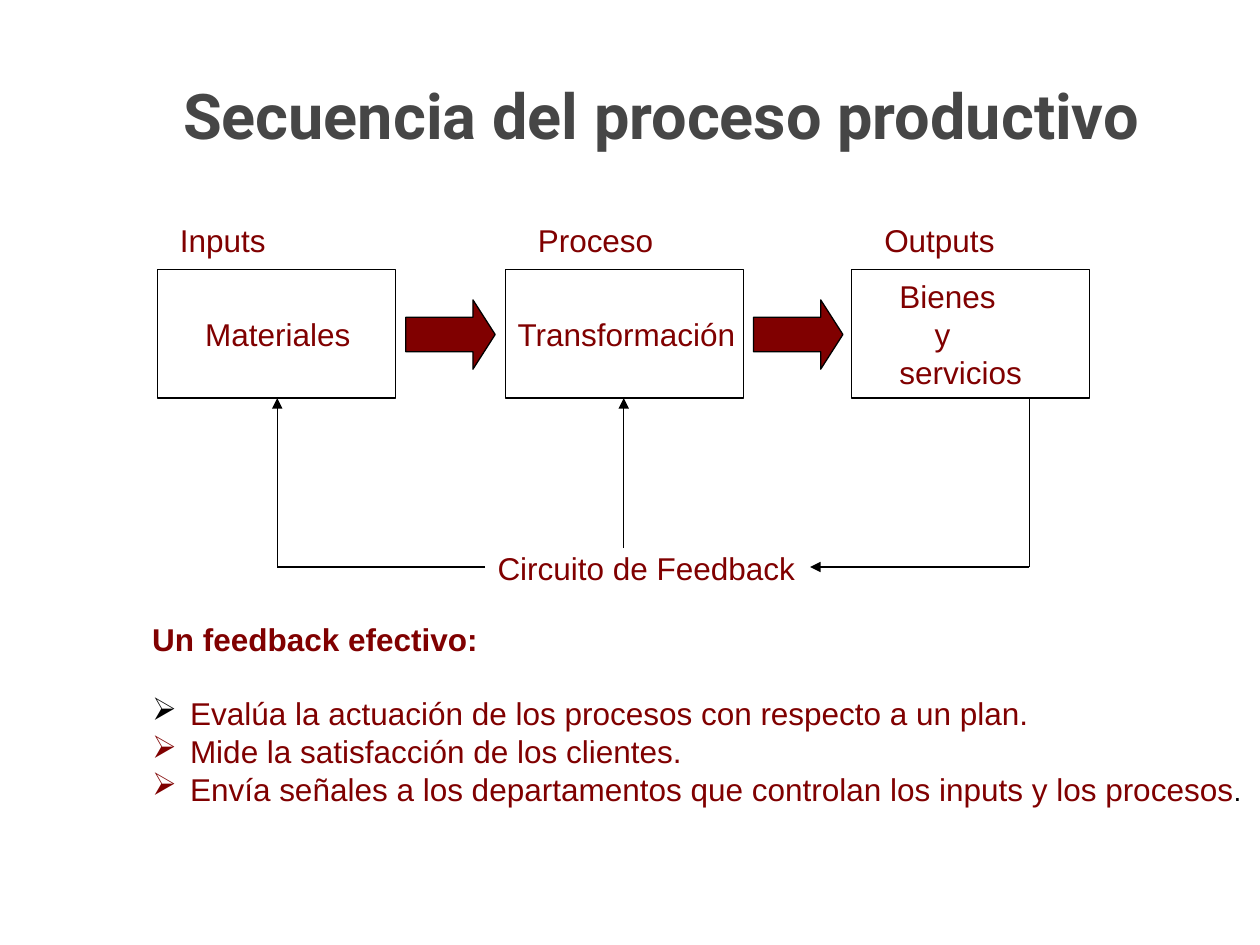
from dataclasses import dataclass

from lxml import etree
from pptx import Presentation
from pptx import util as u
from pptx.dml import color
from pptx.enum import shapes, text
from pptx.oxml import ns

COLORS = {"maroon": "800000", "black": "000000", "white": "FFFFFF", "title": "464646"}
STEP_TOP, STEP_W, STEP_H = 2.14, 1.89, 1.02
LABEL_TOP, LABEL_W, LABEL_H = 1.75, 1.57, 0.31
LOOP_Y, STEP_BOTTOM = 4.5, STEP_TOP + STEP_H
BULLET_INDENT = 0.3


@dataclass
class Step:
    """A stage of the process: its heading and its boxed lines with indents."""
    left: float
    label: str
    label_left: float
    lines: list[tuple[str, float]]


@dataclass
class Link:
    """A straight line of the feedback circuit."""
    start: tuple[float, float]
    end: tuple[float, float]
    arrow: bool = False


STEPS = [
    Step(1.25, "Inputs", 1.33, [("Materiales", 0.28)]),
    Step(4.01, "Proceso", 4.17, [("Transformación", 0)]),
    Step(6.76, "Outputs", 6.92, [("Bienes", 0.28), ("y", 0.56), ("servicios", 0.28)]),
]
ARROW_LEFTS = [3.22, 5.98]
LINKS = [
    Link((4.95, 4.35), (4.95, STEP_BOTTOM), True),
    Link((2.2, LOOP_Y), (2.2, STEP_BOTTOM), True),
    Link((3.85, LOOP_Y), (2.2, LOOP_Y)),
    Link((8.17, STEP_BOTTOM), (8.17, LOOP_Y)),
    Link((8.17, LOOP_Y), (6.43, LOOP_Y), True),
]
BULLETS = [
    ("Evalúa la actuación de los procesos con respecto a un plan.", "black"),
    ("Mide la satisfacción de los clientes.", "maroon"),
    ("Envía señales a los departamentos que controlan los inputs y los procesos", "maroon"),
]


def rgb(name: str) -> color.RGBColor:
    """Return a named colour."""
    return color.RGBColor.from_string(COLORS[name])


def style(r, size: float = 18, name: str = "maroon", bold: bool = False, font: str = "Arial") -> None:
    """Format one run."""
    r.font.size, r.font.bold, r.font.name = u.Pt(size), bold, font
    r.font.color.rgb = rgb(name)


def add_shape(s, kind, box: tuple, fill: str, line: str, alpha: int = 100):
    """Draw a preset shape with a plain fill and a thin outline."""
    sp = s.shapes.add_shape(kind, *map(u.Inches, box))
    sp.shadow.inherit = False
    sp.fill.solid()
    sp.fill.fore_color.rgb = rgb(fill)
    sp.line.color.rgb = rgb(line)
    sp.line.width = u.Pt(0.75)
    if alpha < 100:
        clr = sp.fill._xPr.find(".//" + ns.qn("a:srgbClr"))
        etree.SubElement(clr, ns.qn("a:alpha")).set("val", str(alpha * 1000))
    return sp


def add_text_box(s, box: tuple, lines: list[tuple[str, float]], line: str = "white", alpha: int = 66):
    """Draw a white rectangle with unwrapped, left-aligned lines."""
    sp = add_shape(s, shapes.MSO_SHAPE.RECTANGLE, box, "white", line, alpha)
    tf = sp.text_frame
    tf.word_wrap = False
    tf.vertical_anchor = text.MSO_ANCHOR.MIDDLE
    tf.text = "\n".join(content for content, _ in lines)
    for p, (_, indent) in zip(tf.paragraphs, lines):
        p.alignment = text.PP_ALIGN.LEFT
        p._p.get_or_add_pPr().set("marL", str(u.Inches(indent)))
        style(p.runs[0])
    return sp


def add_bullet(p, name: str) -> None:
    """Give a paragraph an arrowhead bullet with a hanging indent."""
    pPr = p._p.get_or_add_pPr()
    pPr.set("indent", str(-u.Inches(BULLET_INDENT)))
    clr = etree.SubElement(pPr, ns.qn("a:buClr"))
    etree.SubElement(clr, ns.qn("a:srgbClr")).set("val", COLORS[name])
    etree.SubElement(pPr, ns.qn("a:buChar")).set("char", "➢")


def add_link(s, link: Link) -> None:
    """Draw one line, with an arrowhead at its end if asked."""
    points = map(u.Inches, link.start + link.end)
    sp = s.shapes.add_connector(shapes.MSO_CONNECTOR.STRAIGHT, *points)
    sp.line.color.rgb = rgb("black")
    sp.line.width = u.Pt(0.75)
    if link.arrow:
        etree.SubElement(sp.line._get_or_add_ln(), ns.qn("a:tailEnd")).set("type", "triangle")
    etree.SubElement(sp._element.spPr, ns.qn("a:effectLst"))


def add_title(s) -> None:
    """Write the slide title."""
    tf = s.shapes.add_textbox(*map(u.Inches, (0.75, 0.28, 9, 1.25))).text_frame
    tf.word_wrap = True
    tf.vertical_anchor = text.MSO_ANCHOR.MIDDLE
    tf.text = "Secuencia del proceso productivo"
    p = tf.paragraphs[0]
    p.alignment = text.PP_ALIGN.CENTER
    style(p.runs[0], 36, "title", True, "Roboto")


def add_feedback_notes(s) -> None:
    """Write the heading and bullets on effective feedback."""
    lines = [("Un feedback efectivo:", 0)] + [(content, BULLET_INDENT) for content, _ in BULLETS]
    tf = add_text_box(s, (1.11, 5.17, 7.48, 1.26), lines).text_frame
    tf.margin_bottom = u.Inches(0.32)
    heading, *items = tf.paragraphs
    heading.runs[0].font.bold = True
    for p, (_, name) in zip(items, BULLETS):
        add_bullet(p, name)
    items[0].space_before = u.Pt(20.7)
    r = items[-1].add_run()
    r.text = "."
    style(r, 16, "black")


def main() -> None:
    """Build the slide and save it."""
    prs = Presentation()
    prs.slide_width, prs.slide_height = u.Inches(10), u.Inches(7.5)
    s = prs.slides.add_slide(prs.slide_layouts[6])
    add_title(s)
    for step in STEPS:
        add_text_box(s, (step.left, STEP_TOP, STEP_W, STEP_H), step.lines, "black", 100)
        add_text_box(s, (step.label_left, LABEL_TOP, LABEL_W, LABEL_H), [(step.label, 0)])
    for left in ARROW_LEFTS:
        sp = add_shape(s, shapes.MSO_SHAPE.RIGHT_ARROW, (left, 2.38, 0.71, 0.55), "maroon", "black")
        sp.adjustments[1] = 0.32
    add_text_box(s, (3.85, 4.35, 2.12, LABEL_H), [("Circuito de Feedback", 0)])
    for link in LINKS:
        add_link(s, link)
    add_feedback_notes(s)
    prs.save("out.pptx")


if __name__ == "__main__":
    main()
